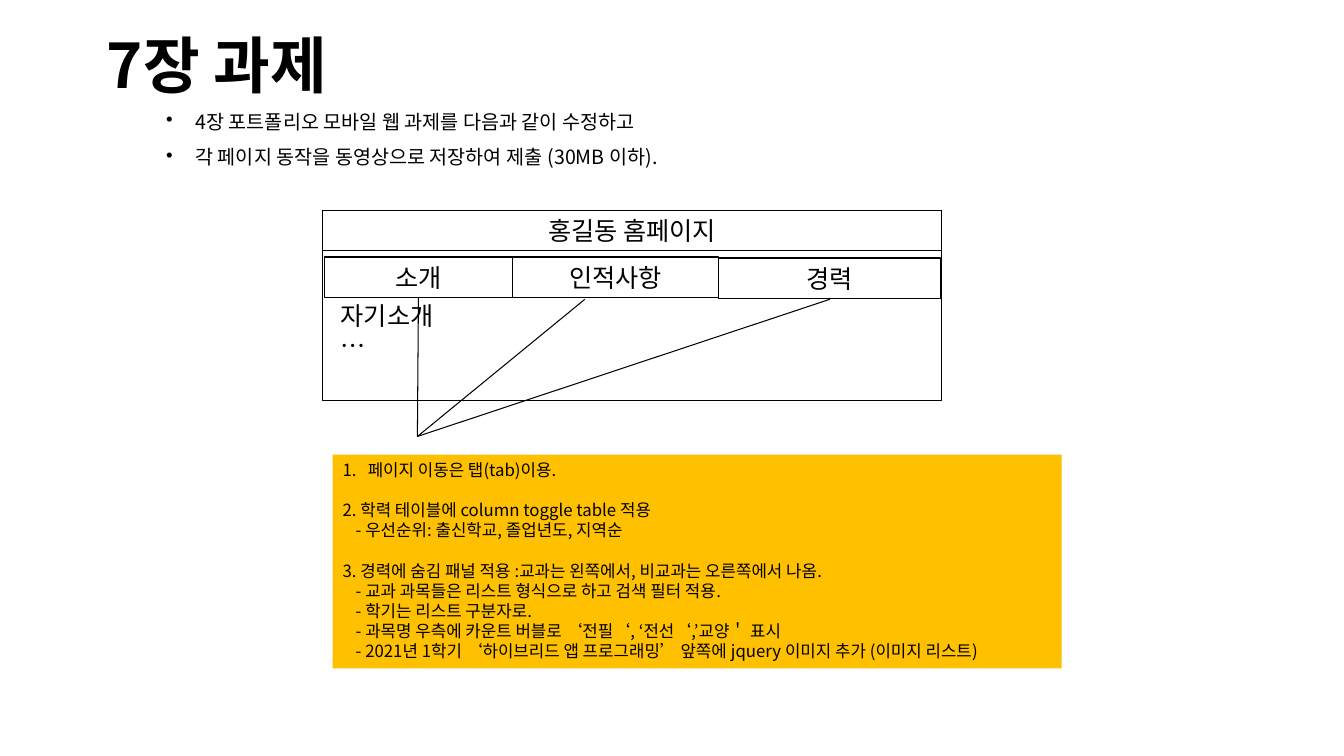
from lxml import etree
from pptx import Presentation
from pptx.dml.color import RGBColor
from pptx.enum.shapes import MSO_CONNECTOR, MSO_SHAPE
from pptx.enum.text import MSO_ANCHOR, MSO_AUTO_SIZE, PP_ALIGN
from pptx.oxml.ns import qn
from pptx.util import Inches, Pt

RECT, LINE = MSO_SHAPE.RECTANGLE, MSO_CONNECTOR.STRAIGHT
LEFT, CENTER = PP_ALIGN.LEFT, PP_ALIGN.CENTER
TOP, MIDDLE = MSO_ANCHOR.TOP, MSO_ANCHOR.MIDDLE
NONE, GROW = MSO_AUTO_SIZE.NONE, MSO_AUTO_SIZE.SHAPE_TO_FIT_TEXT

THEME = {
    "font": "Noto Sans CJK KR",
    "ink": RGBColor(0, 0, 0),
    "note": RGBColor(0xFF, 0xC0, 0x00),
    "title": Pt(44), "body": Pt(14), "page": Pt(18), "task": Pt(12),
    "rule": Pt(0.75),
}


def write(shape, rows, size, para=None, anchor=TOP, fit=GROW, bold=False):
    """Fill a shape with rows of (text, format dict); a format may hold a mark and a margin."""
    frame = shape.text_frame
    for key, val in {"word_wrap": True, "auto_size": fit, "vertical_anchor": anchor}.items():
        setattr(frame, key, val)
    for i, (text, extra) in enumerate(rows):
        p = frame.paragraphs[0] if i == 0 else frame.add_paragraph()
        form = {"alignment": LEFT, **(para or {}), **extra}
        mark, margin = form.pop("mark", None), form.pop("margin", 0)
        for key, val in form.items():
            setattr(p, key, val)
        props = p._p.get_or_add_pPr()
        props.set("marL", str(Inches(margin)))
        props.set("indent", str(-Inches(margin) if mark else 0))
        if mark:
            tag, attrs = mark
            etree.SubElement(props, qn(tag), attrs)
        run = p.add_run()
        run.text = text
        for key, val in {"size": size, "bold": bold, "name": THEME["font"]}.items():
            setattr(run.font, key, val)
        run.font.color.rgb = THEME["ink"]
        etree.SubElement(run._r.get_or_add_rPr(), qn("a:ea"), typeface=THEME["font"])


def box(x, y, w, h, fill=None):
    """Add a plain rectangle, outlined unless it is filled."""
    shape = slide.shapes.add_shape(RECT, Inches(x), Inches(y), Inches(w), Inches(h))
    shape.shadow.inherit = False
    if fill is not None:
        shape.fill.solid()
        shape.fill.fore_color.rgb = fill
        shape.line.fill.background()
    else:
        shape.fill.background()
        shape.line.color.rgb = THEME["ink"]
        shape.line.width = THEME["rule"]
    return shape


deck = Presentation()
deck.slide_width, deck.slide_height = Inches(13.33), Inches(7.5)
slide = deck.slides.add_slide(deck.slide_layouts[5])

# Title and intro
title = slide.shapes.title
place = {"left": 0.96, "top": -0.04, "width": 11.5, "height": 1.45}
for key, val in place.items():
    setattr(title, key, Inches(val))
write(title, [("7장 과제", {})], THEME["title"], {"line_spacing": 0.9}, MIDDLE, NONE, True)

intro = slide.shapes.add_textbox(Inches(1.55), Inches(1.07), Inches(10.32), Inches(0.71))
dot = {"line_spacing": 0.9, "space_before": Pt(10), "margin": 0.29,
       "mark": ("a:buChar", {"char": "•"})}
write(intro, [("4장 포트폴리오 모바일 웹 과제를 다음과 같이 수정하고", {}),
              ("각 페이지 동작을 동영상으로 저장하여 제출 (30MB 이하).", {})],
      THEME["body"], dot, fit=NONE)

# Page mock-up: frame, header and tabs
box(3.2, 2.09, 6.14, 1.88)
cells = [
    ("홍길동 홈페이지", 3.2, 2.09, 6.14),
    ("소개", 3.22, 2.55, 1.86),
    ("인적사항", 5.08, 2.55, 2.05),
    ("경력", 7.13, 2.56, 2.2),
]
for text, x, y, w in cells:
    write(box(x, y, w, 0.4), [(text, {})], THEME["page"], {"alignment": CENTER})

about = slide.shapes.add_textbox(Inches(3.28), Inches(2.93), Inches(5.98), Inches(0.71))
write(about, [("자기소개", {}), ("…", {})], THEME["page"])

# Lines from the tabs to the task list
for x, y in [(4.15, 2.95), (5.8, 2.97), (8.23, 2.97)]:
    link = slide.shapes.add_connector(LINE, Inches(x), Inches(y), Inches(4.14), Inches(4.33))
    link.line.color.rgb = THEME["ink"]
    link.line.width = THEME["rule"]
    etree.SubElement(link._element.spPr, qn("a:effectLst"))

# Task list
first = {"margin": 0.25, "mark": ("a:buAutoNum", {"type": "arabicPeriod"})}
head = {"space_before": Pt(14.4)}
sub = {"margin": 0.13}
tasks = [
    ("페이지 이동은 탭(tab)이용.", first),
    ("2. 학력 테이블에 column toggle table 적용", head),
    ("- 우선순위: 출신학교, 졸업년도, 지역순", sub),
    ("3. 경력에 숨김 패널 적용 :교과는 왼쪽에서, 비교과는 오른쪽에서 나옴.", head),
    ("- 교과 과목들은 리스트 형식으로 하고 검색 필터 적용.", sub),
    ("- 학기는 리스트 구분자로.", sub),
    ("- 과목명 우측에 카운트 버블로 ‘전필‘, ‘전선‘,’교양＇ 표시", sub),
    ("- 2021년 1학기 ‘하이브리드 앱 프로그래밍’ 앞쪽에 jquery 이미지 추가 (이미지 리스트)", sub),
]
write(box(3.3, 4.51, 7.23, 2.12, THEME["note"]), tasks, THEME["task"])

deck.save("out.pptx")
